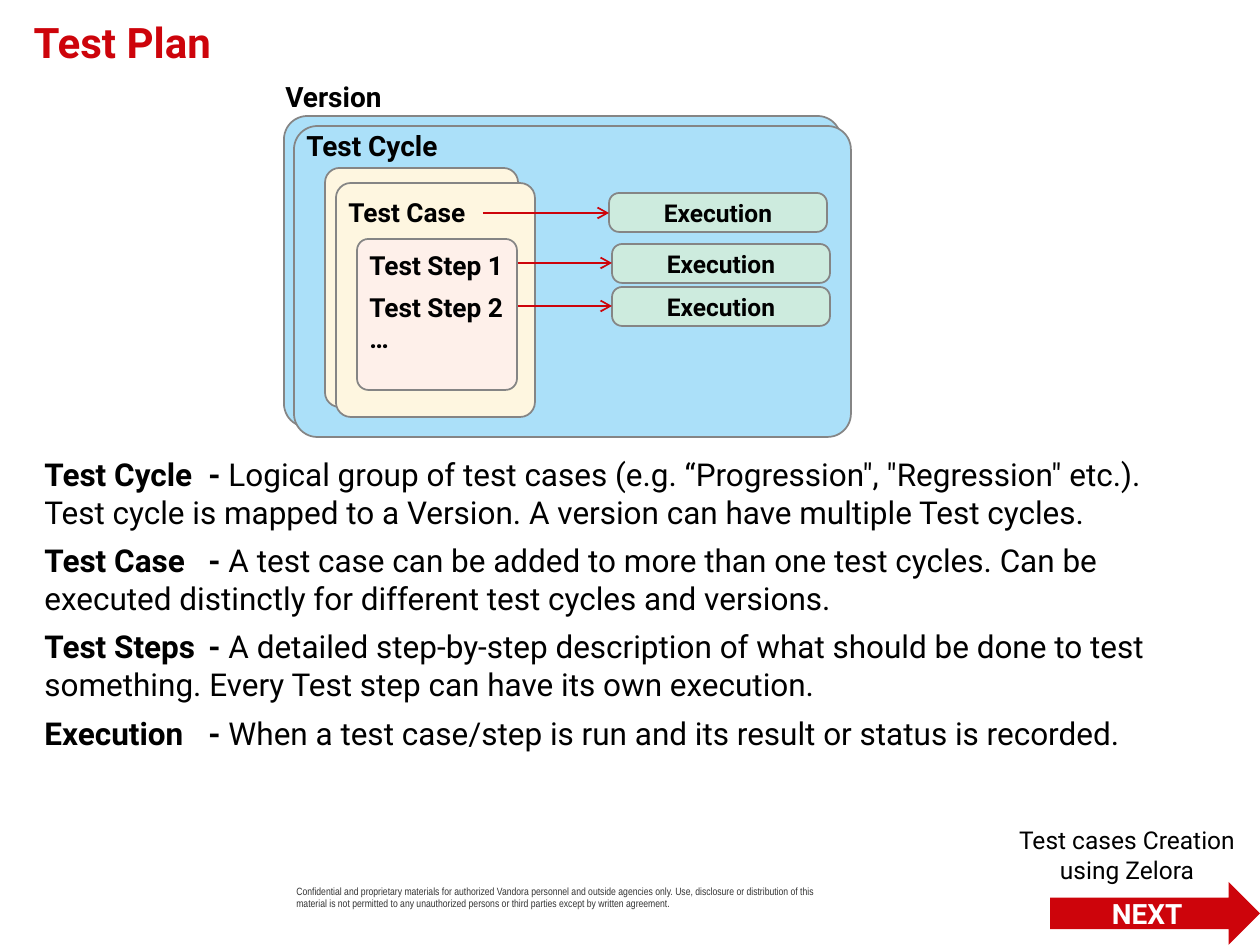
from lxml import etree
from pptx import Presentation
from pptx.dml.color import RGBColor
from pptx.enum import shapes, text
from pptx.oxml.ns import qn
from pptx.util import Emu, Pt

# Content: boxes are (left, top, width, height) in pixels
TITLE = "Test Plan"
FRAMES = [  # box, fill; back to front
    ((284, 116, 557, 311), "cycle"),
    ((294, 126, 557, 311), "cycle"),
    ((325, 168, 193, 239), "case"),
    ((336, 183, 199, 234), "case"),
    ((357, 239, 160, 151), "steps"),
]
LABELS = [  # box, lines, size
    ((273, 73, 189, 47), ["Version"], "group"),
    ((294, 122, 189, 47), ["Test Cycle"], "group"),
    ((336, 190, 189, 44), ["Test Case"], "item"),
]
STEPS = ["Test Step 1", "Test Step 2", "…"]
EXECUTIONS = [  # left, top, arrow start x, arrow y
    (609, 193, 483, 213),
    (612, 244, 518, 263),
    (612, 287, 518, 306),
]
DEFINITIONS = [
    ("Test Cycle", "Logical group of test cases (e.g. “Progression\", \"Regression\" etc.). "
     "Test cycle is mapped to a Version. A version can have multiple Test cycles."),
    ("Test Case", "A test case can be added to more than one test cycles. "
     "Can be executed distinctly for different test cycles and versions."),
    ("Test Steps", "A detailed step-by-step description of what should be done to test "
     "something. Every Test step can have its own execution."),
    ("Execution", "When a test case/step is run and its result or status is recorded."),
]
DASH_TAB = 164
NEXT_TOPIC = "Test cases Creation using Zelora"
NOTICE = ("Confidential and proprietary materials for authorized Vandora personnel and "
          "outside agencies only. Use, disclosure or distribution of this material is not "
          "permitted to any unauthorized persons or third parties except by written agreement.")

THEME = {
    "font": "Roboto", "notice_font": "Arial Narrow",
    "color": {"red": "CD040B", "black": "000000", "white": "FFFFFF", "notice": "333333",
              "outline": "858585", "cycle": "ABE0F9", "case": "FEF6E0",
              "steps": "FEF0EA", "execution": "CDEBDE"},
    "size": {"title": 24, "body": 18, "group": 16, "item": 15, "small": 14, "notice": 6},
}


def px(length):
    return Emu(round(length * 914400 / 126))


def rgb(name):
    return RGBColor.from_string(THEME["color"][name])


def write(shape, paragraphs, size="body", color="black", font=THEME["font"], bold=False,
          align=text.PP_ALIGN.LEFT, anchor=text.MSO_ANCHOR.TOP, wrap=True, before=()):
    """Each paragraph is a string or a list of (string, bold) runs."""
    frame = shape.text_frame
    frame.word_wrap, frame.vertical_anchor = wrap, anchor
    frame.auto_size = text.MSO_AUTO_SIZE.NONE
    for i, content in enumerate(paragraphs):
        paragraph = frame.paragraphs[0] if i == 0 else frame.add_paragraph()
        paragraph.alignment = align
        paragraph.space_before = Pt(before[i] if before else 0)
        runs = [(content, bold)] if isinstance(content, str) else content
        for words, strong in runs:
            run = paragraph.add_run()
            run.text = words
            run.font.name, run.font.size = font, Pt(THEME["size"][size])
            run.font.bold, run.font.color.rgb = strong, rgb(color)
    return frame


def label(box, paragraphs, **style):
    return write(slide.shapes.add_textbox(*map(px, box)), paragraphs, **style)


def block(kind, box, fill, corner=None):
    shape = slide.shapes.add_shape(kind, *map(px, box))
    shape.shadow.inherit = False
    shape.fill.solid()
    shape.fill.fore_color.rgb = rgb(fill)
    if corner is None:
        shape.line.fill.background()
    else:
        shape.adjustments[0] = corner
        shape.line.color.rgb, shape.line.width = rgb("outline"), Pt(1)
    return shape


def arrow(start, end, y):
    line = slide.shapes.add_connector(shapes.MSO_CONNECTOR.STRAIGHT, *map(px, (start, y, end, y)))
    line.line.color.rgb, line.line.width = rgb("red"), Pt(1)
    etree.SubElement(line.line._get_or_add_ln(), qn("a:tailEnd"), type="arrow")
    etree.SubElement(line._element.spPr, qn("a:effectLst"))


prs = Presentation()
prs.slide_width, prs.slide_height = px(1260), px(945)
slide = prs.slides.add_slide(prs.slide_layouts[5])
ROUNDED = shapes.MSO_SHAPE.ROUNDED_RECTANGLE
CENTER, MIDDLE = text.PP_ALIGN.CENTER, text.MSO_ANCHOR.MIDDLE

# Title
title = slide.shapes.title
title.left, title.top, title.width, title.height = map(px, (21, 10, 213, 63))
write(title, [TITLE], size="title", color="red", bold=True, wrap=False)

# Nested frames and their labels
for box, fill in FRAMES:
    block(ROUNDED, box, fill, corner=0.075)
for box, lines, size in LABELS:
    label(box, lines, size=size, bold=True)
label((357, 243, 179, 118), STEPS, size="item", bold=True, before=(6, 6, 0))

# Executions
for left, top, start, y in EXECUTIONS:
    execution = block(ROUNDED, (left, top, 218, 39), "execution", corner=0.261)
    write(execution, ["Execution"], size="small", bold=True, align=CENTER, anchor=MIDDLE)
    arrow(start, left, y)

# Definitions, with the dashes aligned on a tab stop
definitions = label((32, 449, 1176, 311),
                    [[(term + "\t- ", True), (meaning, False)] for term, meaning in DEFINITIONS],
                    before=[6] * len(DEFINITIONS))
for paragraph in definitions.paragraphs:
    tabs = etree.SubElement(paragraph._p.get_or_add_pPr(), qn("a:tabLst"))
    etree.SubElement(tabs, qn("a:tab"), pos=str(px(DASH_TAB)), algn="l")

# Footer: notice and next topic
label((284, 885, 557, 31), [NOTICE], size="notice", color="notice",
      font=THEME["notice_font"], anchor=text.MSO_ANCHOR.BOTTOM)
label((980, 819, 294, 72), [NEXT_TOPIC], size="small", align=CENTER)
following = block(shapes.MSO_SHAPE.RIGHT_ARROW, (1050, 882, 210, 63), "red")
write(following, ["NEXT"], size="group", color="white", bold=True, align=CENTER, anchor=MIDDLE)

prs.save("out.pptx")
